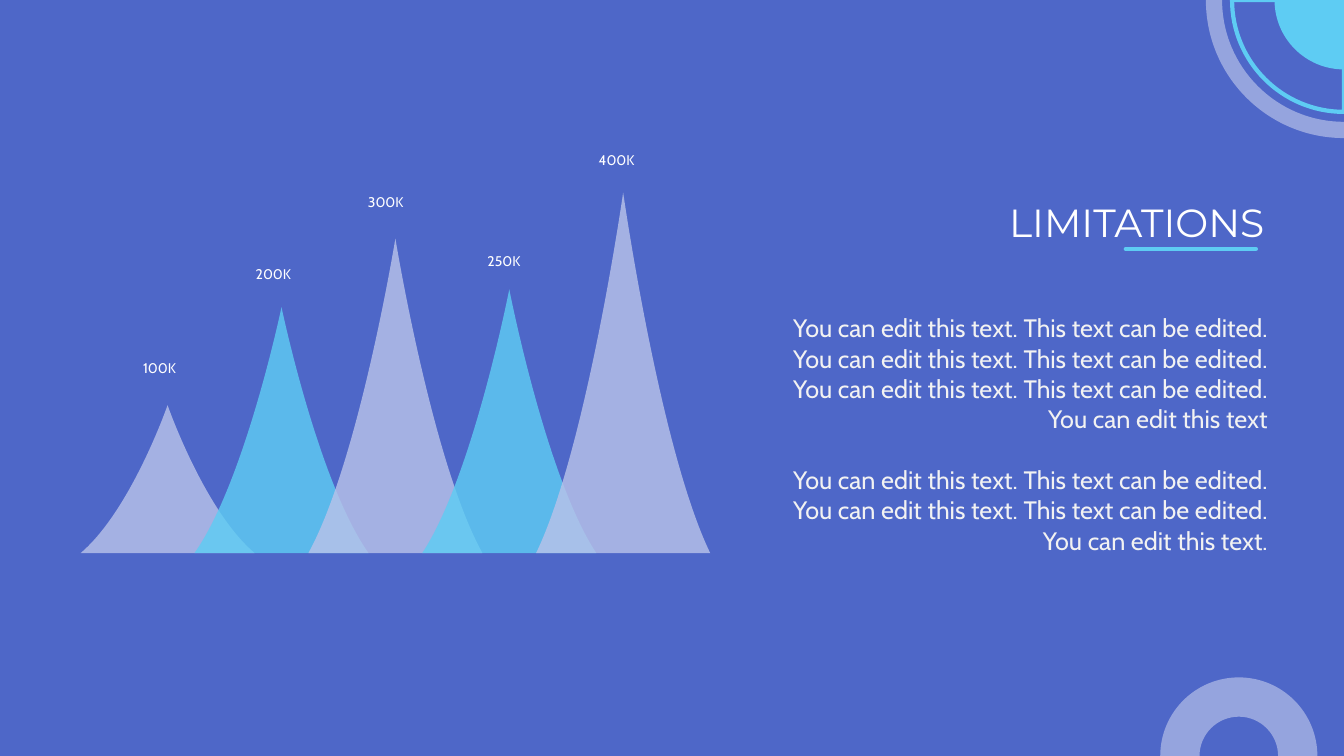
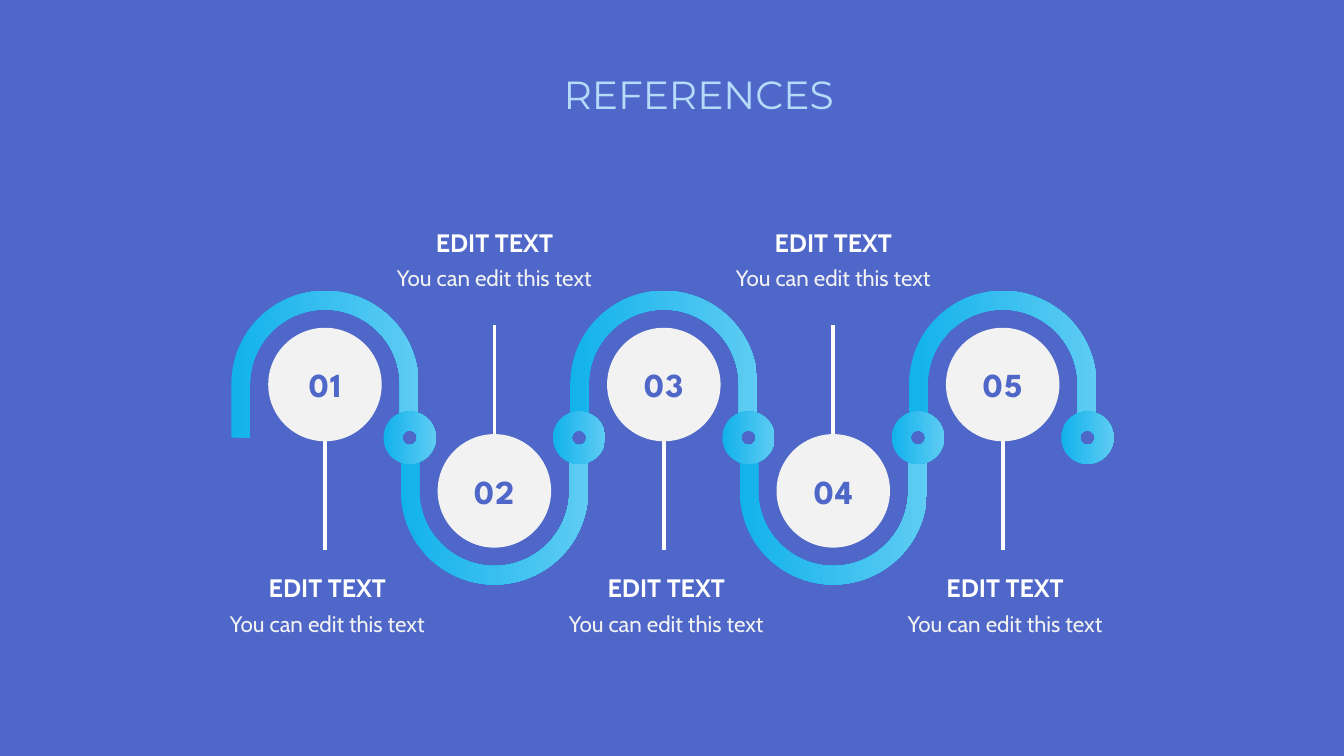
from math import cos, pi, sin, tan

from pptx import Presentation
from pptx.dml.color import RGBColor
from pptx.enum import shapes, text
from pptx.oxml.xmlchemy import OxmlElement
from pptx.util import Cm, Pt

HUES = {
    "back": "4E67C8", "white": "FFFFFF", "pale": "F2F2F2", "sky": "5ECCF3",
    "deep": "12B2EB", "ice": "B4DCFA", "mist": "B8C2E9", "haze": "95A4DE",
}
WIDE, HIGH = 33.87, 19.05
MID, RIGHT = text.PP_ALIGN.CENTER, text.PP_ALIGN.RIGHT

LINE = "You can edit this text"
PAIR = f"{LINE}. This text can be edited. "
BODY = [PAIR * 3 + LINE, PAIR * 2 + LINE + "."]

# label, peak height, label centre, label top, label width, colour (cm)
PEAKS = [
    ("100K", 3.73, 4.02, 8.94, 2.18, "mist"),
    ("200K", 6.2, 6.89, 6.57, 2.29, "sky"),
    ("300K", 7.93, 9.72, 4.75, 2.41, "mist"),
    ("250K", 6.65, 12.7, 6.23, 2.29, "sky"),
    ("400K", 9.09, 15.54, 3.7, 2.41, "mist"),
]
STEPS = [(f"{n:02}", "EDIT TEXT", LINE) for n in range(1, 6)]


def rgb(hue):
    return RGBColor.from_string(HUES[hue])


def paint(shape, fill=None, line=None, alpha=None):
    """Fill and outline a shape; a pair of hues makes a left-to-right blend."""
    shape.shadow.inherit = False
    if fill is None:
        shape.fill.background()
    elif isinstance(fill, tuple):
        shape.fill.gradient()
        shape.fill.gradient_angle = 0
        for stop, hue in zip(shape.fill.gradient_stops, fill):
            stop.color.rgb = rgb(hue)
    else:
        shape.fill.solid()
        shape.fill.fore_color.rgb = rgb(fill)
    if line:
        shape.line.color.rgb = rgb(line)
        shape.line.width = Pt(3)
    else:
        shape.line.fill.background()
    if alpha:
        tag = OxmlElement("a:alpha")
        tag.set("val", str(alpha * 1000))
        shape._element.spPr.xpath("./a:solidFill/a:srgbClr")[0].append(tag)
    return shape


def outline(slide, segs, **look):
    """Draw a closed freeform in cm: a pair is a corner, a triple of pairs a curve."""
    segs = [seg if isinstance(seg[0], tuple) else (seg,) for seg in segs]
    dots = [(Cm(x), Cm(y)) for seg in segs for x, y in seg]
    pen = slide.shapes.build_freeform(*dots[0], scale=1.0)
    pen.add_line_segments(dots[1:], close=True)
    shape = pen.convert_to_shape()
    lines = iter(shape._element.xpath(".//a:path/a:lnTo"))
    for seg in segs[1:]:
        group = [next(lines) for _ in seg]
        if len(group) == 3:
            curve = OxmlElement("a:cubicBezTo")
            group[0].addprevious(curve)
            for line in group:
                curve.append(line[0])
                line.getparent().remove(line)
    return paint(shape, **look)


def arc(x, y, r, start, end):
    """Start point and quarter curves, in degrees clockwise from the right."""
    count = abs(end - start) // 90
    turn = (end - start) / count * pi / 180
    k = 4 / 3 * tan(turn / 4)
    a = start * pi / 180
    segs = [(x + r * cos(a), y + r * sin(a))]
    for _ in range(count):
        b = a + turn
        segs.append((
            (x + r * (cos(a) - k * sin(a)), y + r * (sin(a) + k * cos(a))),
            (x + r * (cos(b) + k * sin(b)), y + r * (sin(b) - k * cos(b))),
            (x + r * cos(b), y + r * sin(b))))
        a = b
    return segs


def band(x, y, outer, inner, start, end):
    return arc(x, y, outer, start, end) + arc(x, y, inner, end, start)


def disc(slide, x, y, r, fill, kind=shapes.MSO_SHAPE.OVAL):
    shape = slide.shapes.add_shape(kind, Cm(x - r), Cm(y - r), Cm(2 * r), Cm(2 * r))
    return paint(shape, fill)


def rule(slide, x1, y1, x2, y2, hue, width, cap="flat"):
    line = slide.shapes.add_connector(
        shapes.MSO_CONNECTOR.STRAIGHT, Cm(x1), Cm(y1), Cm(x2), Cm(y2))
    line.line.color.rgb = rgb(hue)
    line.line.width = Pt(width)
    props = line._element.spPr
    props.xpath("./a:ln")[0].set("cap", cap)
    props.append(OxmlElement("a:effectLst"))


def write(para, words, size, hue, font="Cabin", bold=False, align=MID, gap=0):
    para.alignment = align
    para.space_before = Pt(gap)
    run = para.add_run()
    run.text = words
    run.font.size, run.font.name, run.font.bold = Pt(size), font, bold
    run.font.color.rgb = rgb(hue)
    return run


def place(shape, x, y, w, h):
    shape.left, shape.top, shape.width, shape.height = Cm(x), Cm(y), Cm(w), Cm(h)
    frame = shape.text_frame
    frame.word_wrap = True
    frame.auto_size = text.MSO_AUTO_SIZE.NONE
    frame.vertical_anchor = text.MSO_ANCHOR.TOP
    return frame


def label(slide, x, y, w, h, *words, **style):
    """Write one line in a text box centred on x."""
    frame = place(slide.shapes.add_textbox(0, 0, 0, 0), x - w / 2, y, w, h)
    return write(frame.paragraphs[0], *words, **style)


def title(slide, words, x, y, w, hue, align):
    frame = place(slide.shapes.title, x, y, w, 1.45)
    write(frame.paragraphs[0], words, 28, hue, "Montserrat", align=align)


def corners(slide):
    outline(slide, band(31.22, HIGH, 1.98, 0.99, 180, 360), fill="haze")
    hub = (WIDE, 0)
    outline(slide, arc(*hub, 2.82, 90, 180) + [hub], line="sky")
    outline(slide, arc(*hub, 1.75, 90, 180) + [hub], fill="sky")
    outline(slide, band(*hub, 3.48, 3.07, 90, 180), fill="haze")


def peak(x, base, w, h):
    """Outline of a spike with two curved sides."""
    tip = (x + w / 2, base - h)
    bend = base - 0.29 * h
    return [tip, (tip, (x + 0.71 * w, bend), (x + w, base)),
            (x, base), ((x + 0.29 * w, bend), tip, tip)]


def limits(prs):
    slide = prs.slides.add_slide(prs.slide_layouts[5])
    for i, (_, high, *_, hue) in enumerate(PEAKS):
        outline(slide, peak(2.03 + 2.87 * i, 13.94, 4.39, high), fill=hue, alpha=82)
    for words, _, x, y, w, _ in PEAKS:
        label(slide, x, y, w, 0.84, words, 10, "white")
    title(slide, "LIMITATIONS", 24.36, 4.88, 7.75, "white", RIGHT)

    x, y, w, h = 19.36, 7.73, 12.74, 6.45
    panel = outline(slide, [(x, y), (x + w, y), (x + w, y + h), (x, y + h)])
    frame = place(panel, x, y, w, h)
    frame.margin_left = frame.margin_right = Cm(0.15)
    frame.margin_top = frame.margin_bottom = Cm(0.15)
    for i, words in enumerate(BODY):
        para = frame.add_paragraph() if i else frame.paragraphs[0]
        write(para, words, 18, "pale", align=RIGHT, gap=22 * i)
    rule(slide, 28.37, 6.27, 31.65, 6.27, "sky", 3, "rnd")
    corners(slide)


def steps(prs):
    slide = prs.slides.add_slide(prs.slide_layouts[5])
    first, pitch, axis, rise = 8.19, 4.27, 11.03, 1.34
    outer, inner = 2.36, 1.89
    blend = ("deep", "sky")
    # centre x and direction: -1 arches up, 1 dips down
    spots = [(first + pitch * i, 1 if i % 2 else -1) for i in range(len(STEPS))]

    for x, way in spots:
        y = axis + way * rise
        rule(slide, x, y, x, y - way * 4.17, "white", 2.75)
    for x, way in reversed(spots):
        y = axis + way * rise
        turn = 180 - way * 180
        outline(slide, [
            (x - outer, axis), *arc(x, y, outer, 180, turn), (x + outer, axis),
            (x + inner, axis), *arc(x, y, inner, turn, 180), (x - inner, axis),
        ], fill=blend)
    for x, _ in spots:
        disc(slide, x + pitch / 2, axis, 0.43, "back")
        node = disc(slide, x + pitch / 2, axis, 0.66, blend, shapes.MSO_SHAPE.DONUT)
        node.adjustments[0] = 0.36
    for x, way in spots:
        disc(slide, x, axis + way * rise, 1.43, "pale")
    for (x, way), (number, head, note) in zip(spots, STEPS):
        run = label(slide, x, axis + way * rise - 0.64, 1.85, 1.27,
                    number, 24, "back", "League Spartan", bold=True)
        run._r.get_or_add_rPr().set("spc", "100")
        x, y = (x, 5.6) if way > 0 else (x + 0.06, 14.3)
        label(slide, x, y, 4.01, 1.02, head, 18, "white", bold=True)
        label(slide, x, y + 0.94, 6.4, 0.94, note, 16, "pale")
    title(slide, "REFERENCES", 13.63, 1.64, 7.95, "ice", MID)


def main():
    prs = Presentation()
    prs.slide_width, prs.slide_height = Cm(WIDE), Cm(HIGH)
    fill = prs.slide_master.background.fill
    fill.solid()
    fill.fore_color.rgb = rgb("back")
    limits(prs)
    steps(prs)
    prs.save("out.pptx")


if __name__ == "__main__":
    main()
